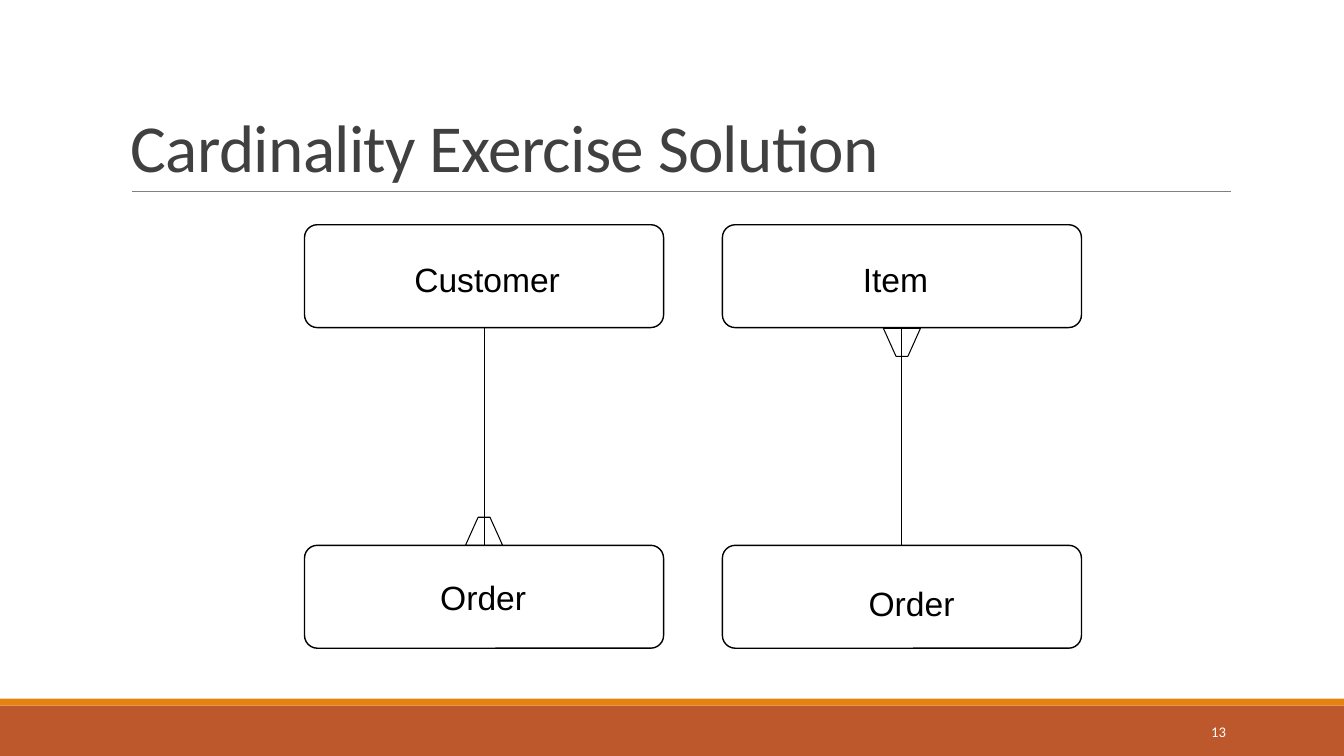
from pptx import Presentation
from pptx.dml.color import RGBColor
from pptx.enum.shapes import MSO_CONNECTOR as Link, MSO_SHAPE as Preset
from pptx.enum.text import MSO_ANCHOR as Anchor, PP_ALIGN as Align
from pptx.oxml.ns import qn
from pptx.util import Pt
from lxml import etree


def color(value):
    return RGBColor.from_string(value)


def add_text(place, words, size, font, ink, anchor=Anchor.TOP, wrap=True):
    box = page.shapes.add_textbox(*map(Pt, place))
    frame = box.text_frame
    frame.word_wrap = wrap
    frame.vertical_anchor = anchor
    para = frame.paragraphs[0]
    span = para.add_run()
    span.text = words
    span.font.size = Pt(size)
    span.font.name = font
    span.font.color.rgb = color(ink)
    return para


deck = Presentation()
deck.slide_width, deck.slide_height = Pt(960), Pt(540)
page = deck.slides.add_slide(deck.slide_layouts[6])

# Footer bands
for top, height, fill in [(504, 36, "BD582C"), (499, 5, "E48312")]:
    band = page.shapes.add_shape(Preset.RECTANGLE, 0, Pt(top), Pt(960), Pt(height))
    band.shadow.inherit = False
    band.fill.solid()
    band.fill.fore_color.rgb = color(fill)
    band.line.fill.background()

# Title
title = add_text((86.4, 22.3, 792, 114.5), "Cardinality Exercise Solution",
                 48, "Calibri", "404040", Anchor.BOTTOM)
title.line_spacing = 0.85
title.runs[0].font._element.set("spc", "-50")

# Title rule and the two relationship lines
box_width, box_height = 256.5, 73.5
columns = [217.5, 516]
upper, lower = 160.5, 389.5
centers = [left + box_width / 2 for left in columns]
lines = [(94.5, 136.6, 879, 136.6, "808080", 0.5)]
lines += [(x, upper + box_height, x, lower, "000000", 0.75) for x in centers]
for x1, y1, x2, y2, ink, weight in lines:
    line = page.shapes.add_connector(Link.STRAIGHT, Pt(x1), Pt(y1), Pt(x2), Pt(y2))
    line.line.color.rgb = color(ink)
    line.line.width = Pt(weight)
    etree.SubElement(line._element.spPr, qn("a:effectLst"))

# Entity boxes and the "many" ends: preset, left, top, width, height, adjustment, line, turn
foot_width, foot_height = 26.5, 20
outlines = [(Preset.ROUNDED_RECTANGLE, left, top, box_width, box_height, 0.125, 1, 0)
            for left in columns for top in (upper, lower)]
feet = [(centers[0], lower - foot_height, 0), (centers[1], upper + box_height + 0.5, 180)]
outlines += [(Preset.TRAPEZOID, x - foot_width / 2, top, foot_width, foot_height, 0.45, 0.75, turn)
             for x, top, turn in feet]
for preset, left, top, width, height, adjustment, weight, turn in outlines:
    outline = page.shapes.add_shape(preset, Pt(left), Pt(top), Pt(width), Pt(height))
    outline.shadow.inherit = False
    outline.adjustments[0] = adjustment
    outline.rotation = turn
    outline.fill.background()
    outline.line.color.rgb = color("000000")
    outline.line.width = Pt(weight)

# Entity names
for left, top, width, height, name in [
    (282.2, 178.6, 126.7, 39.6, " Customer"),
    (307.4, 406, 76.3, 39.6, "Order"),
    (602.6, 178.6, 68.4, 36.7, " Item"),
    (613.4, 409.7, 76.3, 36.7, "Order"),
]:
    para = add_text((left, top, width, height), name, 24, "Arial", "000000", wrap=False)
    para.line_spacing = 1.1
    para.space_before = Pt(3.6)

# Slide number
number = add_text((779.8, 508.3, 103, 28.8), "13", 10.5, "Calibri", "FFFFFF", Anchor.MIDDLE)
number.alignment = Align.RIGHT

deck.save("out.pptx")
